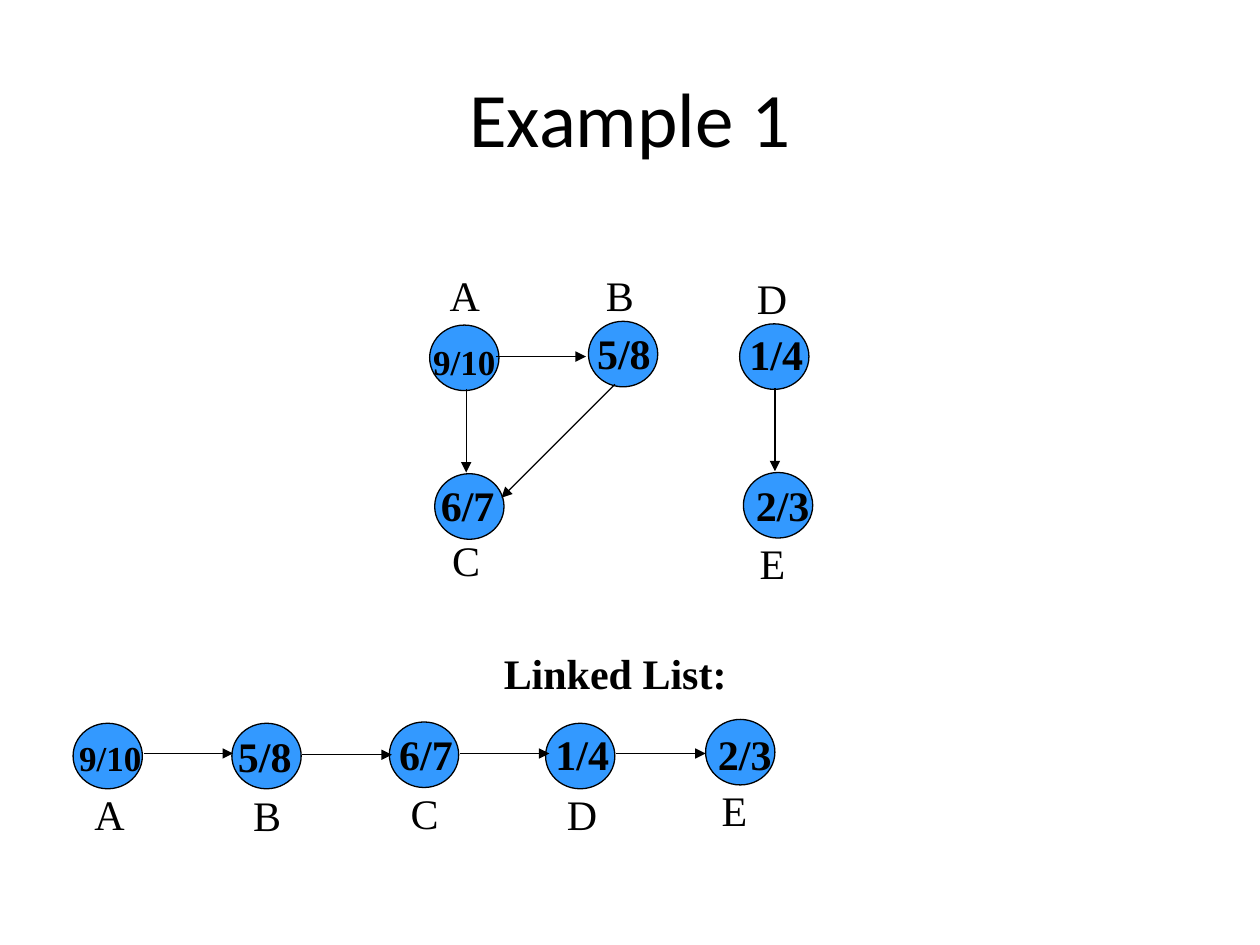
from dataclasses import dataclass

from lxml import etree
from pptx import Presentation
from pptx.dml.color import RGBColor
from pptx.enum import shapes, text
from pptx.oxml import ns
from pptx.util import Inches, Pt


@dataclass(frozen=True)
class Theme:
    ink: RGBColor = RGBColor(0x00, 0x00, 0x00)
    node: RGBColor = RGBColor(0x33, 0x99, 0xFF)
    title_font: str = "Calibri"
    body_font: str = "Times New Roman"
    title_size: int = 44
    body_size: int = 24
    small_size: int = 20
    line_width: float = 0.75


theme = Theme()
prs = Presentation()
prs.slide_width, prs.slide_height = Inches(10), Inches(7.5)
s = prs.slides.add_slide(prs.slide_layouts[6])


def add_text(words, x, y, w, h=0.5, size=theme.body_size, bold=False, font=theme.body_font):
    tb = s.shapes.add_textbox(Inches(x), Inches(y), Inches(w), Inches(h))
    tf = tb.text_frame
    tf.word_wrap = False
    tf.auto_size = text.MSO_AUTO_SIZE.SHAPE_TO_FIT_TEXT
    p = tf.paragraphs[0]
    r = p.add_run()
    r.text = words
    r.font.name, r.font.size, r.font.bold = font, Pt(size), bold
    r.font.color.rgb = theme.ink
    return tf


def add_arrow(x1, y1, x2, y2):
    c = s.shapes.add_connector(
        shapes.MSO_CONNECTOR.STRAIGHT, Inches(x1), Inches(y1), Inches(x2), Inches(y2))
    c.line.color.rgb = theme.ink
    c.line.width = Pt(theme.line_width)
    etree.SubElement(c.line._get_or_add_ln(), ns.qn("a:tailEnd"), type="triangle")
    etree.SubElement(c._element.spPr, ns.qn("a:effectLst"))


# Title
tf = add_text("Example 1", 0.5, 0.3, 9, 1.25, theme.title_size, font=theme.title_font)
tf.word_wrap = True
tf.auto_size = text.MSO_AUTO_SIZE.NONE
tf.vertical_anchor = text.MSO_ANCHOR.MIDDLE
tf.paragraphs[0].alignment = text.PP_ALIGN.CENTER

# Discovery/finish times, and the width of each name's label
times = {"A": "9/10", "B": "5/8", "C": "6/7", "D": "1/4", "E": "2/3"}
label_widths = {"A": 0.44, "B": 0.42, "C": 0.42, "D": 0.44, "E": 0.4}

# name, then left and top of the circle, the times and the label
graph_nodes = [
    ("A", (3.41, 2.58), (3.34, 2.65), (3.47, 2.09)),
    ("B", (4.67, 2.55), (4.64, 2.55), (4.71, 2.09)),
    ("C", (3.45, 3.76), (3.4, 3.76), (3.49, 4.19)),
    ("D", (5.87, 2.57), (5.85, 2.56), (5.91, 2.11)),
    ("E", (5.9, 3.75), (5.9, 3.76), (5.93, 4.22)),
]
list_nodes = [
    ("A", (0.58, 5.74), (0.53, 5.8), (0.65, 6.21)),
    ("B", (1.84, 5.74), (1.79, 5.75), (1.91, 6.22)),
    ("C", (3.09, 5.73), (3.07, 5.73), (3.16, 6.2)),
    ("D", (4.33, 5.74), (4.31, 5.73), (4.4, 6.21)),
    ("E", (5.6, 5.71), (5.6, 5.73), (5.63, 6.18)),
]
for name, (x, y), times_at, label_at in graph_nodes + list_nodes:
    sp = s.shapes.add_shape(
        shapes.MSO_SHAPE.OVAL, Inches(x), Inches(y), Inches(0.55), Inches(0.52))
    sp.shadow.inherit = False
    sp.fill.solid()
    sp.fill.fore_color.rgb = theme.node
    sp.line.color.rgb = theme.ink
    sp.line.width = Pt(theme.line_width)
    if len(times[name]) > 3:
        add_text(times[name], *times_at, 0.7, 0.43, theme.small_size, bold=True)
    else:
        add_text(times[name], *times_at, 0.63, bold=True)
    add_text(name, *label_at, label_widths[name])

# Graph edges: A-B, A-C, B-C, D-E
for edge in [(3.94, 2.83, 4.65, 2.83), (3.7, 3.09, 3.7, 3.75),
             (4.88, 3.05, 3.98, 3.95), (6.15, 3.08, 6.15, 3.74)]:
    add_arrow(*edge)

# Linked list
add_text("Linked List:", 3.9, 5.09, 1.97, bold=True)
for x, y in [(1.14, 5.98), (2.4, 5.99), (3.65, 5.98), (4.89, 5.98)]:
    add_arrow(x, y, x + 0.71, y)

prs.save("out.pptx")
